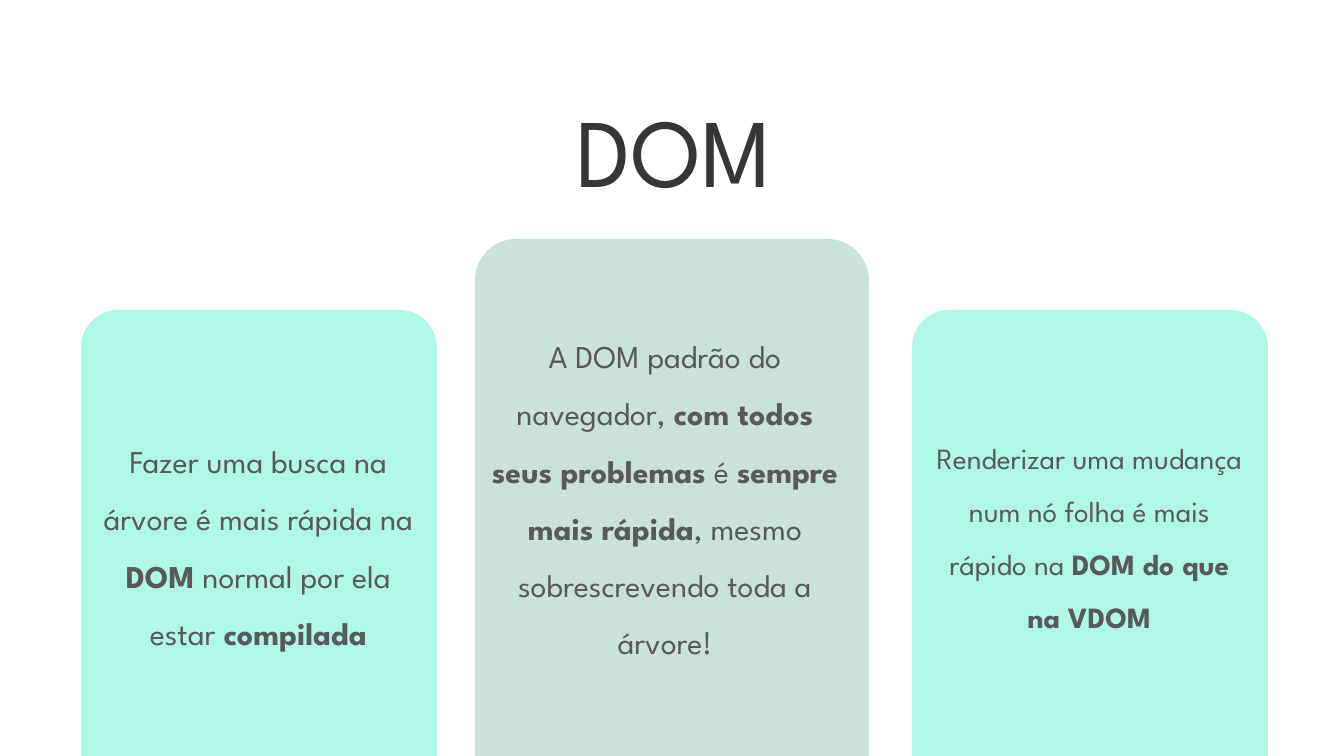
from pptx import Presentation
from pptx.dml.color import RGBColor
from pptx.enum.shapes import MSO_SHAPE
from pptx.enum.text import MSO_ANCHOR, MSO_AUTO_SIZE, PP_ALIGN
from pptx.oxml.ns import qn
from pptx.util import Emu, Pt
from lxml import etree

ROUNDED = MSO_SHAPE.ROUNDED_RECTANGLE
TOP, BOTTOM = MSO_ANCHOR.TOP, MSO_ANCHOR.BOTTOM
CENTER = PP_ALIGN.CENTER
NO_AUTOFIT = MSO_AUTO_SIZE.NONE
EMU_PER_PX = 914400 / 134.4
TITLE_ONLY = 5


def px(length):
    return Emu(round(length * EMU_PER_PX))


def color(hex_value):
    return RGBColor.from_string(hex_value)


class SlideBuilder:
    font = "League Spartan"
    title_color = "383535"
    body_color = "595959"
    inset = 13

    def __init__(self, deck):
        self.slide = deck.slides.add_slide(deck.slide_layouts[TITLE_ONLY])

    def style_frame(self, frame, anchor):
        frame.word_wrap = True
        frame.auto_size = NO_AUTOFIT
        frame.vertical_anchor = anchor
        frame.margin_left = frame.margin_right = px(self.inset)
        frame.margin_top = frame.margin_bottom = px(self.inset)

    def style_span(self, span, size, hex_value, bold=False):
        span.font.name = self.font
        span.font.size = Pt(size)
        span.font.bold = bold
        span.font.color.rgb = color(hex_value)

    def title(self, text, left, top, width, height, size):
        box = self.slide.shapes.title
        box.left, box.top = px(left), px(top)
        box.width, box.height = px(width), px(height)
        frame = box.text_frame
        frame.text = text
        self.style_frame(frame, BOTTOM)
        para = frame.paragraphs[0]
        para.alignment = CENTER
        self.style_span(para.runs[0], size, self.title_color)

    def card(self, left, top, width, height, fill, opacity):
        box = self.slide.shapes.add_shape(
            ROUNDED, px(left), px(top), px(width), px(height))
        box.adjustments[0] = 0.105
        box.shadow.inherit = False
        box.line.fill.background()
        box.fill.solid()
        box.fill.fore_color.rgb = color(fill)
        tint = box._element.spPr.find(qn("a:solidFill")).find(qn("a:srgbClr"))
        etree.SubElement(tint, qn("a:alpha")).set("val", str(opacity * 1000))

    def body(self, spans, left, top, width, height, size):
        box = self.slide.shapes.add_textbox(
            px(left), px(top), px(width), px(height))
        frame = box.text_frame
        self.style_frame(frame, TOP)
        para = frame.paragraphs[0]
        para.alignment = CENTER
        para.line_spacing = 1.5
        para.space_after = Pt(12)
        for index, text in enumerate(spans):
            span = para.add_run()
            span.text = text
            self.style_span(span, size, self.body_color, bold=index % 2 == 1)


def main():
    deck = Presentation()
    deck.slide_width, deck.slide_height = px(1344), px(756)
    page = SlideBuilder(deck)
    page.title("DOM", 48, 74, 1253, 146, 52)

    side = {"width": 356, "height": 616, "fill": "3FEFC7", "opacity": 41}
    page.card(81, 310, **side)
    page.card(475, 239, 394, 616, "99C4BB", 50)
    page.card(912, 310, **side)

    page.body(
        ["Fazer uma busca na árvore é mais rápida na ", "DOM",
         " normal por ela estar ", "compilada"],
        86, 410, 345, 255, 17)
    page.body(
        ["A DOM padrão do navegador, ", "com todos seus problemas", " é ",
         "sempre mais rápida", ", mesmo sobrescrevendo toda a árvore!"],
        475, 305, 380, 422, 17)
    page.body(
        ["Renderizar uma mudança num nó folha é mais rápido na ",
         "DOM do que na VDOM"],
        917, 410, 345, 255, 15.7)
    deck.save("out.pptx")


if __name__ == "__main__":
    main()
